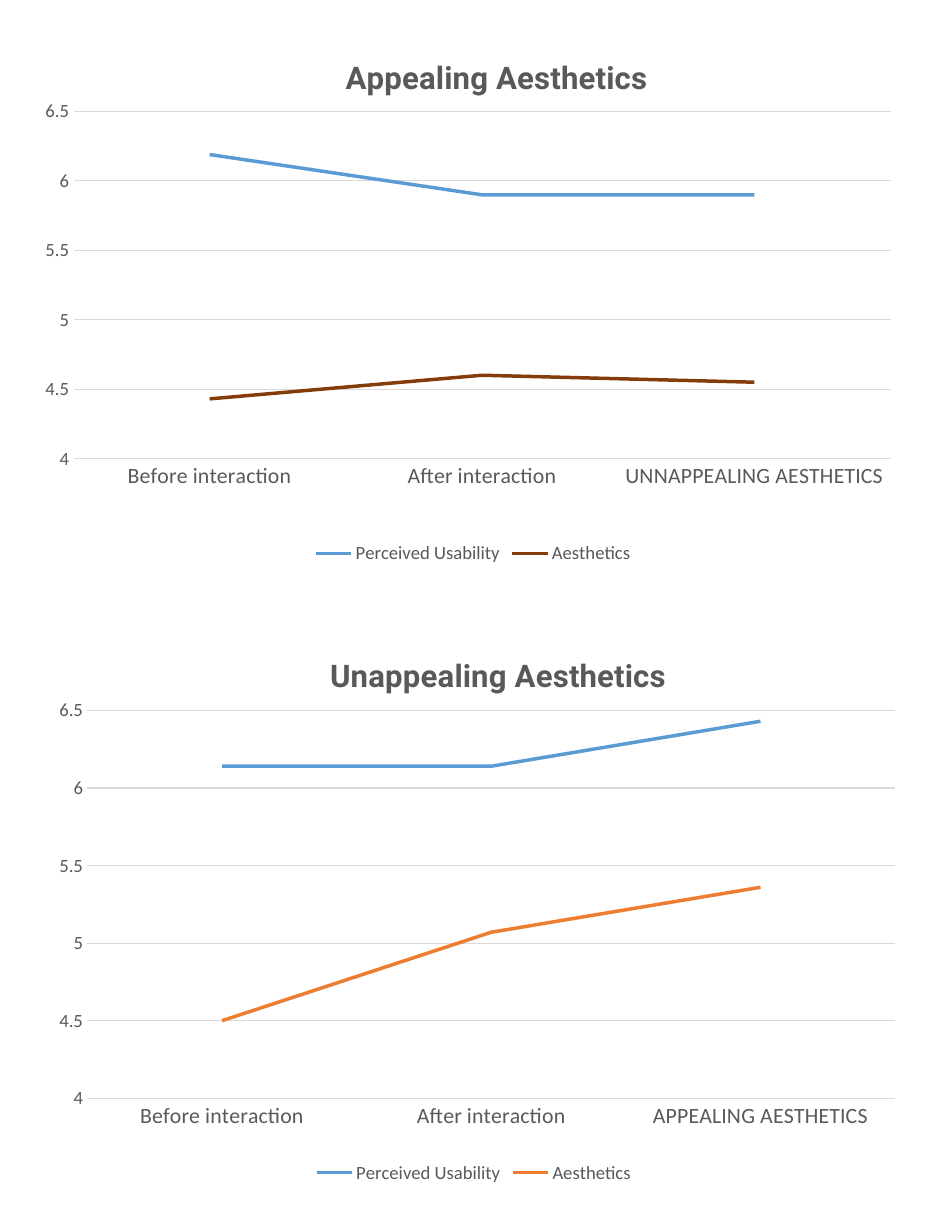
from lxml import etree
from pptx import Presentation
from pptx.chart.data import CategoryChartData as Data
from pptx.dml.color import RGBColor
from pptx.enum.chart import XL_CHART_TYPE as Kind, XL_LEGEND_POSITION as Spot
from pptx.enum.chart import XL_MARKER_STYLE as Marker, XL_TICK_MARK as Tick
from pptx.oxml.ns import qn
from pptx.util import Inches, Pt

# Content: boxes in inches, title and plot spots as fractions of the chart
GREY, PALE, BLUE = "595959", "D9D9D9", "5B9BD5"
NAMES = ["Perceived Usability", "Aesthetics"]
CHARTS = [
    {"title": "Appealing Aesthetics", "last": "UNNAPPEALING AESTHETICS",
     "box": (0.26, 0.16, 7.93, 4.92), "spot": (0.35, 0.06),
     "plot": (0.05, 0.17, 0.92, 0.63),
     "rows": [(6.19, 5.9, 5.9), (4.43, 4.6, 4.55)], "hues": [BLUE, "843C0B"]},
    {"title": "Unappealing Aesthetics", "last": "APPEALING AESTHETICS",
     "box": (0.31, 5.59, 7.84, 5.02), "spot": (0.33, 0.04),
     "plot": (0.06, 0.15, 0.92, 0.69),
     "rows": [(6.14, 6.14, 6.43), (4.5, 5.07, 5.36)], "hues": [BLUE, "ED7D31"]},
]


def paint(color, hue):
    color.rgb = RGBColor.from_string(hue)


def style(font, size, hue=GREY, name="Calibri", bold=False):
    font.size, font.name, font.bold = Pt(size), name, bold
    paint(font.color, hue)


def draw(line, hue, width=0.75):
    paint(line.color, hue)
    line.width = Pt(width)


def place(node, index, spot, inner=False):
    """Give a chart part a manual layout."""
    for old in node.findall(qn("c:layout")):
        node.remove(old)
    layout = etree.Element(qn("c:layout"))
    manual = etree.SubElement(layout, qn("c:manualLayout"))
    rules = [("layoutTarget", "inner")] if inner else []
    rules += [("xMode", "edge"), ("yMode", "edge")]
    rules += zip("xywh", spot)
    for tag, val in rules:
        etree.SubElement(manual, qn("c:" + tag)).set("val", str(val))
    node.insert(index, layout)


def add_lines(slide, item):
    data = Data()
    data.categories = ["Before interaction", "After interaction", item["last"]]
    for name, row in zip(NAMES, item["rows"]):
        data.add_series(name, row)
    box = [Inches(n) for n in item["box"]]
    chart = slide.shapes.add_chart(Kind.LINE, *box, data).chart
    style(chart.font, 10, "000000")

    # Title
    frame = chart.chart_title.text_frame
    frame.text = item["title"]
    style(frame.paragraphs[0].font, 20, name="Roboto", bold=True)
    chart.chart_title.include_in_layout = False
    place(frame._txBody.getparent().getparent(), 1, item["spot"])

    # Axes
    for axis, size in ((chart.category_axis, 14), (chart.value_axis, 12)):
        axis.major_tick_mark = axis.minor_tick_mark = Tick.NONE
        style(axis.tick_labels.font, size)
    draw(chart.category_axis.format.line, PALE)
    scale = chart.value_axis
    scale.minimum_scale, scale.maximum_scale, scale.major_unit = 4, 6.5, 0.5
    scale.format.line.fill.background()
    draw(scale.major_gridlines.format.line, PALE)

    # Lines
    for series, hue in zip(chart.plots[0].series, item["hues"]):
        series.smooth = False
        series.marker.style = Marker.NONE
        draw(series.format.line, hue, 2.25)
    chart.plots[0].vary_by_categories = False
    place(chart._chartSpace.find(".//" + qn("c:plotArea")), 0, item["plot"], True)

    # Legend
    chart.has_legend = True
    chart.legend.position = Spot.BOTTOM
    chart.legend.include_in_layout = False
    style(chart.legend.font, 12)


deck = Presentation()
deck.slide_width, deck.slide_height = Inches(8.5), Inches(11)
page = deck.slides.add_slide(deck.slide_layouts[6])
for item in CHARTS:
    add_lines(page, item)
deck.save("out.pptx")
